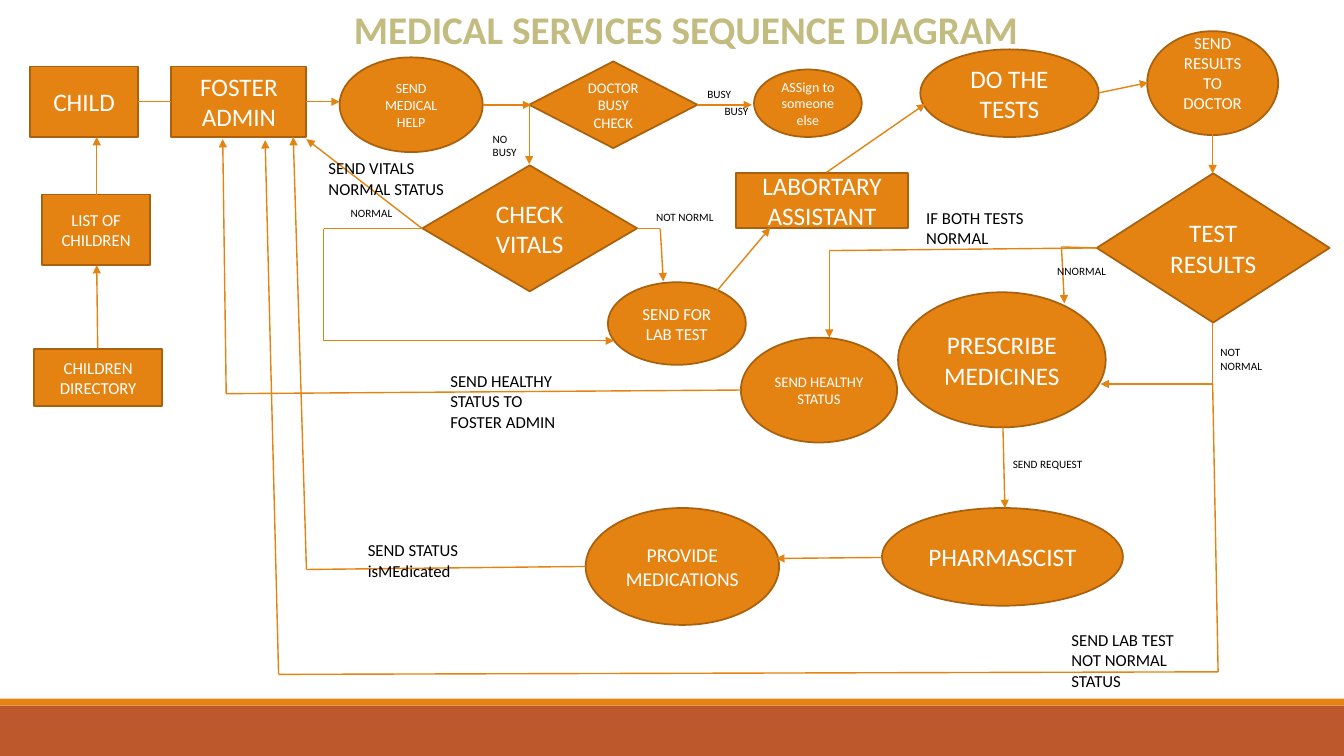
from collections import namedtuple
from itertools import pairwise

from lxml.etree import SubElement
from pptx import Presentation
from pptx.dml.color import RGBColor
from pptx.enum.shapes import MSO_CONNECTOR, MSO_SHAPE
from pptx.enum.text import MSO_ANCHOR, MSO_AUTO_SIZE, PP_ALIGN
from pptx.oxml.ns import qn
from pptx.util import Pt

COLORS = {
    "orange": "E48312",
    "outline": "A9610D",
    "rust": "BD582C",
    "title": "C2BC80",
    "white": "FFFFFF",
    "black": "000000",
}
FONT = "Calibri"
RECTANGLE, ELLIPSE, DECISION = (
    MSO_SHAPE.RECTANGLE, MSO_SHAPE.OVAL, MSO_SHAPE.FLOWCHART_DECISION)
Box = namedtuple("Box", "left top width height")


def color(name):
    """Return the named palette color."""
    return RGBColor.from_string(COLORS[name])


def place(region, left, top, width, height):
    """Convert a position within a region to slide lengths."""
    return Pt(region.left + left), Pt(region.top + top), Pt(width), Pt(height)


def write(frame, text, size, tint, alignment, bold=False):
    """Write each line of text as a paragraph and return the last run."""
    for index, line in enumerate(text.split("\n")):
        paragraph = frame.add_paragraph() if index else frame.paragraphs[0]
        paragraph.alignment = alignment
        run = paragraph.add_run()
        run.text = line
        run.font.name = FONT
        run.font.size = Pt(size)
        run.font.bold = bold
        run.font.color.rgb = color(tint)
    return run


def add_node(slide, region, kind, text, size, *place_in_region):
    """Add an outlined process shape with centred white text."""
    shape = slide.shapes.add_shape(kind, *place(region, *place_in_region))
    shape.shadow.inherit = False
    shape.fill.solid()
    shape.fill.fore_color.rgb = color("orange")
    shape.line.color.rgb = color("outline")
    shape.line.width = Pt(1.25)
    shape.text_frame.word_wrap = True
    shape.text_frame.vertical_anchor = MSO_ANCHOR.MIDDLE
    write(shape.text_frame, text, size, "white", PP_ALIGN.CENTER)
    return shape


def add_flow(slide, region, *points, arrow=True):
    """Join points with straight lines, with an arrowhead at the last one."""
    for (x1, y1), (x2, y2) in pairwise(points):
        connector = slide.shapes.add_connector(
            MSO_CONNECTOR.STRAIGHT,
            Pt(region.left + x1), Pt(region.top + y1),
            Pt(region.left + x2), Pt(region.top + y2))
        connector.line.color.rgb = color("orange")
        connector.line.width = Pt(1)
        SubElement(connector._element.spPr, qn("a:effectLst"))
    if arrow:
        SubElement(connector.get_or_add_ln(), qn("a:tailEnd"), type="triangle")


def add_label(slide, region, text, size, *place_in_region):
    """Add a black wrapped label beside a flow."""
    label = slide.shapes.add_textbox(*place(region, *place_in_region))
    label.text_frame.word_wrap = True
    label.text_frame.auto_size = MSO_AUTO_SIZE.SHAPE_TO_FIT_TEXT
    write(label.text_frame, text, size, "black", PP_ALIGN.LEFT)


def add_footer(slide, region):
    """Add the rust band with its orange upper edge."""
    edge = 5
    for tint, top, height in (("rust", edge, region.height - edge), ("orange", 0, edge)):
        band = slide.shapes.add_shape(RECTANGLE, *place(region, 0, top, region.width, height))
        band.shadow.inherit = False
        band.fill.solid()
        band.fill.fore_color.rgb = color(tint)
        band.line.fill.background()


def add_title(slide, region):
    """Add the outlined slide title."""
    title = slide.shapes.add_textbox(*place(region, 0, 0, region.width, region.height))
    title.text_frame.word_wrap = False
    title.text_frame.auto_size = MSO_AUTO_SIZE.SHAPE_TO_FIT_TEXT
    run = write(title.text_frame, "MEDICAL SERVICES SEQUENCE DIAGRAM", 28, "title",
                PP_ALIGN.CENTER, bold=True)
    properties = run._r.get_or_add_rPr()
    outline = SubElement(properties, qn("a:ln"), w=str(int(Pt(0.75))))
    properties.insert(0, outline)
    fill = SubElement(outline, qn("a:solidFill"))
    SubElement(fill, qn("a:srgbClr"), val=COLORS["white"])


def add_registry(slide, region):
    """Add the children records and the foster admin."""
    add_node(slide, region, RECTANGLE, "FOSTER\nADMIN", 18, 100.8, 0, 96.5, 50.4)
    add_node(slide, region, RECTANGLE, "LIST OF CHILDREN", 12, 8.6, 91.5, 77, 50.4)
    add_node(slide, region, RECTANGLE, "CHILD", 18, 0, 0, 77, 50.4)
    add_node(slide, region, RECTANGLE, "CHILDREN\nDIRECTORY", 12, 2.9, 201.6, 91.4, 41)
    add_flow(slide, region, (47.5, 91.5), (47.5, 50.4))
    add_flow(slide, region, (77, 25.2), (100.8, 25.2), arrow=False)
    add_flow(slide, region, (48.2, 201.6), (47.5, 141.9))


def add_triage(slide, region):
    """Add the help request, doctor check and vitals check."""
    add_node(slide, region, ELLIPSE, "SEND MEDICAL HELP", 10, 23.7, 0, 102.2, 67.7)
    add_node(slide, region, DECISION, "DOCTOR\nBUSY CHECK", 10.5, 159.1, 2.9, 120.2, 61.9)
    add_node(slide, region, ELLIPSE, "ASSign to someone else", 10, 319.7, 8.7, 77, 48.2)
    add_node(slide, region, DECISION, "CHECK VITALS", 18, 82.8, 77.1, 153.4, 90)
    add_node(slide, region, ELLIPSE, "SEND FOR LAB TEST", 12, 215.3, 160.6, 98.6, 59)
    add_flow(slide, region, (0, 31.7), (23.7, 31.7))
    add_flow(slide, region, (126, 33.9), (160.5, 33.9))
    add_flow(slide, region, (279.3, 33.9), (318.2, 33.9))
    add_flow(slide, region, (159.1, 33.9), (159.1, 76.4))
    add_flow(slide, region, (82.8, 122.4), (12.2, 122.4), (12.2, 202.4), (219.6, 202.4))
    add_flow(slide, region, (236.1, 122.4), (252.7, 122.4), (254.9, 159.9))
    add_flow(slide, region, (82.8, 122.4), (0, 58.4))
    add_label(slide, region, "BUSY", 8, 279.3, 18, 38.9, 17.3)
    add_label(slide, region, "BUSY", 8, 291.6, 30.3, 38.9, 17.3)
    add_label(slide, region, "NO BUSY", 8, 126, 49.7, 38.9, 26.6)
    add_label(slide, region, "NORMAL", 8, 24.5, 103, 58.3, 17.3)
    add_label(slide, region, "NOT NORML", 8, 242.6, 105.9, 72.7, 17.3)
    add_label(slide, region, "SEND VITALS NORMAL STATUS", 12, 8.6, 68.4, 99.4, 36)


def add_laboratory(slide, region):
    """Add the laboratory steps up to the test results."""
    add_node(slide, region, RECTANGLE, "LABORTARY ASSISTANT", 18, 0, 101.5, 123.1, 38.9)
    add_node(slide, region, ELLIPSE, "DO THE TESTS", 18, 131.8, 13, 127.4, 62.6)
    results = add_node(slide, region, ELLIPSE, "SEND RESULTS TO DOCTOR", 12,
                       293.8, 0, 93.6, 74.2)
    results.text_frame.margin_bottom = Pt(18)
    add_node(slide, region, DECISION, "TEST RESULTS", 18, 257.8, 101.5, 166.3, 106.6)
    add_flow(slide, region, (-14.4, 186.5), (24.5, 140.4))
    add_flow(slide, region, (64.8, 100.8), (135.4, 51.9))
    add_flow(slide, region, (259.9, 43.9), (294.5, 36.7))
    add_flow(slide, region, (340.6, 73.5), (340.6, 101.5))


def add_treatment(slide, region):
    """Add the outcomes of the tests and the medication steps."""
    add_node(slide, region, ELLIPSE, "PRESCRIBE\nMEDICINES", 18, 223.2, 64.8, 148.3, 96.5)
    add_node(slide, region, ELLIPSE, "PHARMASCIST", 18, 211.7, 218.9, 172.1, 69.8)
    add_node(slide, region, ELLIPSE, "PROVIDE\nMEDICATIONS", 14, 0, 218.9, 138.2, 83.5)
    add_node(slide, region, ELLIPSE, "SEND HEALTHY STATUS", 10.5, 110.9, 97.2, 111.6, 74.9)
    add_flow(slide, region, (365.1, 33.1), (339.9, 32.4), (342, 72.7))
    add_flow(slide, region, (447.9, 86.4), (447.9, 130.3), (367.9, 130.3))
    add_flow(slide, region, (298.1, 161.3), (299.5, 218.9))
    add_flow(slide, region, (211.7, 254.2), (136.1, 254.9))
    add_flow(slide, region, (365.1, 33.1), (174.1, 35), (174.1, 97.2))
    add_label(slide, region, "NNORMAL", 8, 329.8, 41, 60.5, 17.3)
    add_label(slide, region, "NOT NORMAL", 8, 446.4, 99.4, 55.4, 26.6)
    add_label(slide, region, "SEND REQUEST", 8, 298.1, 179.3, 67, 17.3)
    add_label(slide, region, "IF BOTH TESTS NORMAL", 12, 236.2, 0.7, 99.4, 36)


def add_status_returns(slide, region):
    """Add the status flows that lead back to the foster admin."""
    add_flow(slide, region, (259.2, 306.7), (59.8, 308.9), (50.4, 0))
    add_flow(slide, region, (707.1, 176.4), (711, 382), (39.9, 383.8), (30.3, 2.2))
    add_flow(slide, region, (370.1, 180.7), (2.5, 183.3), (0, 1.5))
    add_label(slide, region, "SEND STATUS isMEdicated", 12, 96.5, 284.4, 97.2, 36)
    add_label(slide, region, "SEND LAB TEST NOT NORMAL STATUS", 12, 599.1, 348.5, 99.4, 51.1)
    add_label(slide, region, "SEND HEALTHY STATUS TO FOSTER ADMIN", 12,
              155.5, 163.5, 99.4, 51.1)


def main():
    """Build and save the sequence diagram slide."""
    presentation = Presentation()
    presentation.slide_width, presentation.slide_height = Pt(960), Pt(540)
    slide = presentation.slides.add_slide(presentation.slide_layouts[6])
    add_footer(slide, Box(0, 499, 960, 41))
    add_title(slide, Box(242.6, 0, 494.6, 41))
    add_registry(slide, Box(21.6, 47.5, 197.3, 242.6))
    add_triage(slide, Box(218.9, 41, 396.7, 219.6))
    add_laboratory(slide, Box(525.6, 22.3, 424.1, 208.1))
    add_treatment(slide, Box(418.3, 144, 501.8, 302.4))
    add_status_returns(slide, Box(159.1, 97.9, 711, 399.6))
    presentation.save("out.pptx")


if __name__ == "__main__":
    main()
